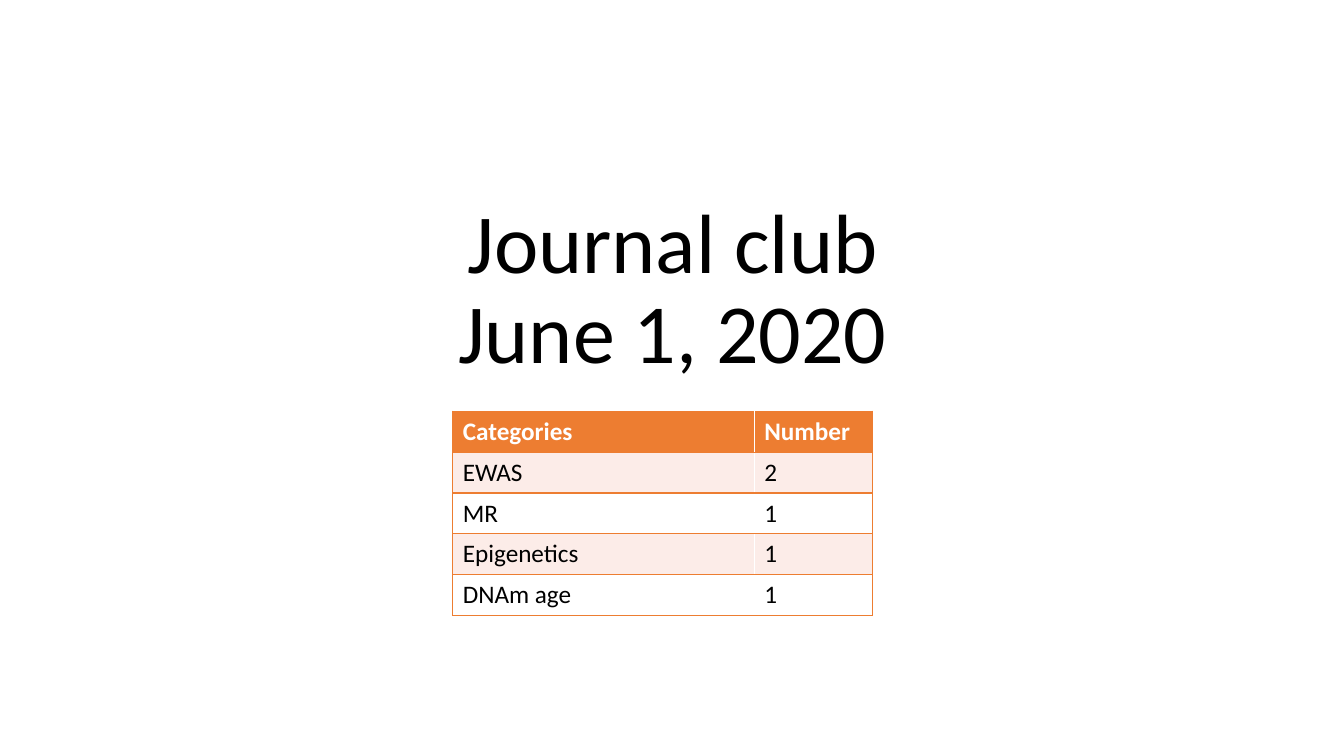
from lxml.etree import SubElement
from pptx import Presentation
from pptx.dml.color import RGBColor
from pptx.enum.text import MSO_ANCHOR, MSO_AUTO_SIZE, PP_ALIGN
from pptx.oxml.ns import qn
from pptx.util import Inches, Pt

FONT = "Calibri"
ORANGE, PINK, WHITE, BLACK = "ED7D31", "FCECE8", "FFFFFF", "000000"
ROW_HEIGHT = 0.4
COLUMN_WIDTHS = (2.99, 1.17)
PAPERS = [
    ("Categories", "Number"),
    ("EWAS", "2"),
    ("MR", "1"),
    ("Epigenetics", "1"),
    ("DNAm age", "1"),
]


def color(hex_value):
    return RGBColor.from_string(hex_value)


def style_font(font, size, hex_value, bold=False):
    font.name = FONT
    font.size = Pt(size)
    font.bold = bold
    font.color.rgb = color(hex_value)


def add_borders(cell, sides):
    """Draw 1 pt orange lines; sides must run in the order L, R, T, B."""
    properties = cell._tc.get_or_add_tcPr()
    for position, side in enumerate(sides):
        line = properties.makeelement(qn(f"a:ln{side}"), {"w": str(Pt(1))})
        properties.insert(position, line)
        fill = SubElement(line, qn("a:solidFill"))
        SubElement(fill, qn("a:srgbClr"), val=ORANGE)


def place_title(slide, left, top, width, height):
    title = slide.shapes.title
    title.left, title.top = Inches(left), Inches(top)
    title.width, title.height = Inches(width), Inches(height)
    frame = title.text_frame
    frame.text = "Journal club\vJune 1, 2020"
    frame.word_wrap = True
    frame.auto_size = MSO_AUTO_SIZE.NONE
    frame.vertical_anchor = MSO_ANCHOR.BOTTOM
    heading = frame.paragraphs[0]
    heading.alignment = PP_ALIGN.CENTER
    heading.line_spacing = 0.9
    style_font(heading.font, 60, BLACK)


def place_category_table(slide, left, top):
    categories = slide.shapes.add_table(
        len(PAPERS), len(COLUMN_WIDTHS), Inches(left), Inches(top),
        Inches(sum(COLUMN_WIDTHS)), Inches(ROW_HEIGHT * len(PAPERS))).table
    for column, width in zip(categories.columns, COLUMN_WIDTHS):
        column.width = Inches(width)
    for r, entries in enumerate(PAPERS):
        categories.rows[r].height = Inches(ROW_HEIGHT)
        is_header = r == 0
        row_fill = ORANGE if is_header else (PINK if r % 2 else WHITE)
        for c, entry in enumerate(entries):
            cell = categories.cell(r, c)
            cell.text = entry
            cell.fill.solid()
            cell.fill.fore_color.rgb = color(row_fill)
            style_font(cell.text_frame.paragraphs[0].font, 18,
                       WHITE if is_header else BLACK, is_header)
            # Outer edges and row lines only, none between the columns
            add_borders(cell, "LTB" if c == 0 else "RTB")


def main():
    deck = Presentation()
    deck.slide_width, deck.slide_height = Inches(13.33), Inches(7.5)
    slide = deck.slides.add_slide(deck.slide_layouts[5])
    slide.background.fill.solid()
    slide.background.fill.fore_color.rgb = color(WHITE)
    place_title(slide, 1.67, 1.23, 10, 2.61)
    place_category_table(slide, 4.49, 4.08)
    deck.save("out.pptx")


if __name__ == "__main__":
    main()
